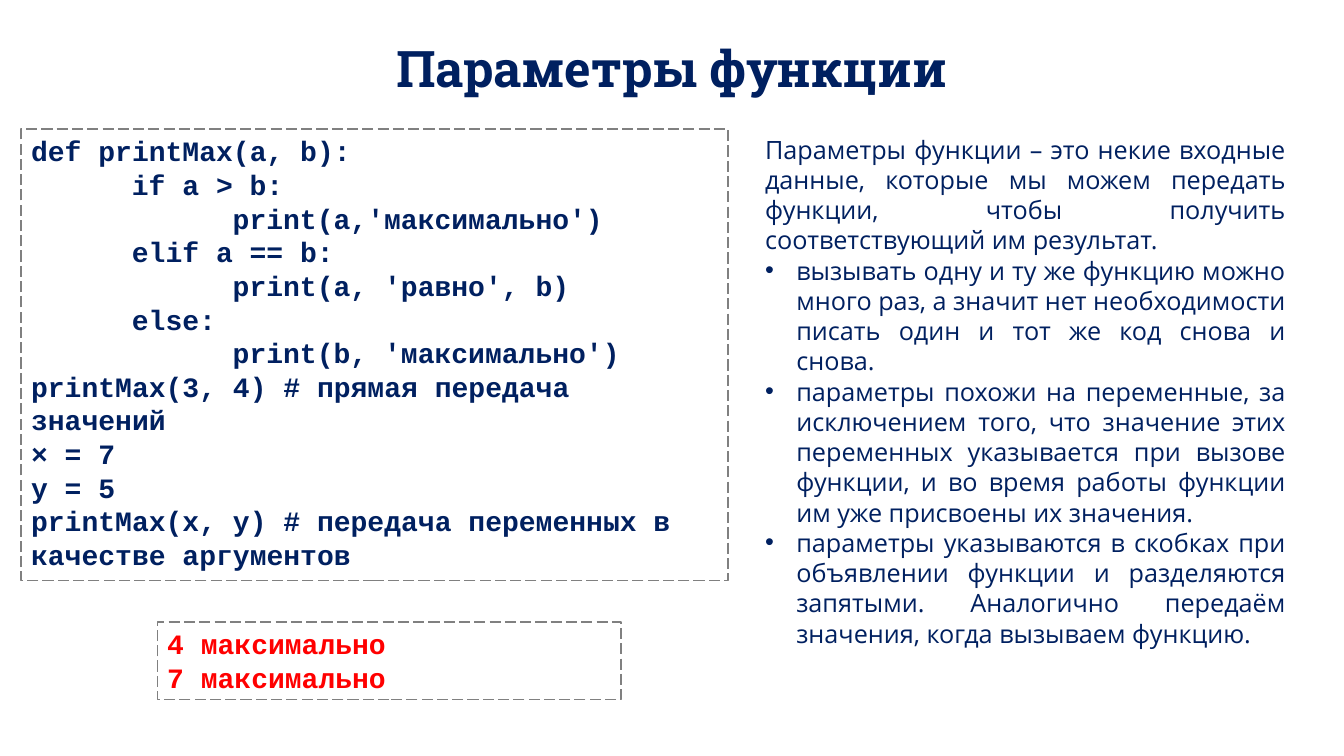
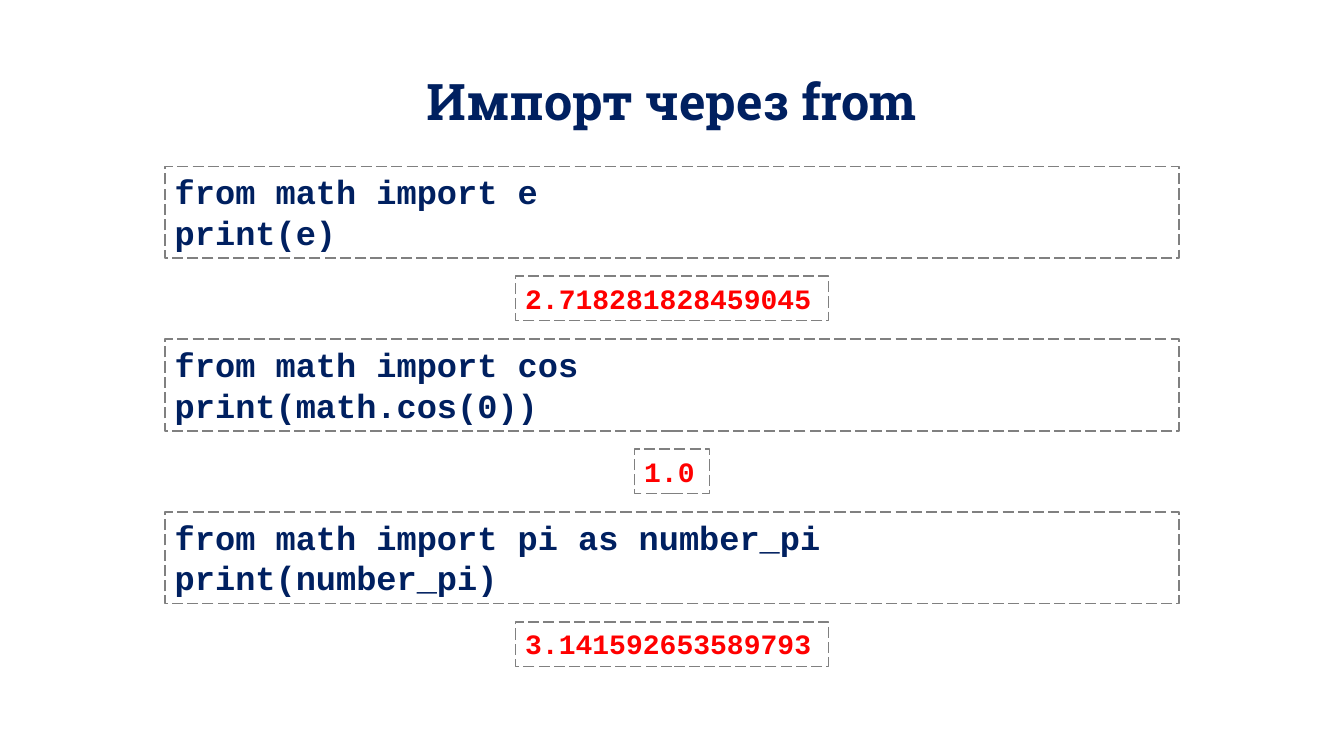
from lxml.etree import SubElement
from pptx import Presentation
from pptx.dml.color import RGBColor
from pptx.enum.dml import MSO_LINE
from pptx.enum.shapes import MSO_SHAPE
from pptx.enum.text import MSO_ANCHOR, MSO_AUTO_SIZE, PP_ALIGN
from pptx.oxml.ns import qn
from pptx.util import Inches, Pt

SLIDE_WIDTH, SLIDE_HEIGHT = 13.33, 7.5
NAVY, RED, GRAY = "002060", "FF0000", "808080"
TITLE_HEIGHT = 0.6
TAB_STOPS = (1, 2)
BULLET_INDENT = 0.31

TITLE_FONT = {"name": "Roboto Slab", "size": Pt(36), "bold": True}
BODY_FONT = {"name": "Open Sans", "size": Pt(18)}
CODE_FONT = {"name": "Courier New", "size": Pt(20), "bold": True}
LARGE_CODE_FONT = {**CODE_FONT, "size": Pt(24)}

PARAMETERS_TITLE = "Параметры функции"
PARAMETERS_CODE = [
    "def printMax(a, b):",
    "\tif a > b:",
    "\t\tprint(a,'максимально')",
    "\telif a == b:",
    "\t\tprint(a, 'равно', b)",
    "\telse:",
    "\t\tprint(b, 'максимально')",
    "printMax(3, 4) # прямая передача значений",
    "× = 7",
    "y = 5",
    "printMax(x, y) # передача переменных в качестве аргументов",
]
PARAMETERS_RESULT = ["4 максимально", "7 максимально"]
PARAMETERS_INTRO = (
    "Параметры функции – это некие входные данные, которые мы можем передать "
    "функции, чтобы получить соответствующий им результат. "
)
PARAMETERS_NOTES = [
    "вызывать одну и ту же функцию можно много раз, а значит нет "
    "необходимости писать один и тот же код снова и снова.",
    "параметры похожи на переменные, за исключением того, что значение этих "
    "переменных указывается при вызове функции, и во время работы функции "
    "им уже присвоены их значения.",
    "параметры указываются в скобках при объявлении функции и разделяются "
    "запятыми. Аналогично передаём значения, когда вызываем функцию.",
]

IMPORT_TITLE = "Импорт через from"
IMPORT_EXAMPLES = [
    (["from math import e", "print(e)"], "2.718281828459045", 3.11),
    (["from math import cos", "print(math.cos(0))"], "1.0", 0.75),
    (["from math import pi as number_pi", "print(number_pi)"], "3.141592653589793", 3.11),
]


def format_font(paragraph, font_values, color):
    for name, value in font_values.items():
        setattr(paragraph.font, name, value)
    paragraph.font.color.rgb = RGBColor.from_string(color)


def add_tab_stops(paragraph):
    tab_list = SubElement(paragraph._p.get_or_add_pPr(), qn("a:tabLst"))
    for position in TAB_STOPS:
        SubElement(tab_list, qn("a:tab"), pos=str(Inches(position)), algn="l")


def add_bullet(paragraph):
    properties = paragraph._p.get_or_add_pPr()
    indent = Inches(BULLET_INDENT)
    properties.set("marL", str(indent))
    properties.set("indent", str(-indent))
    SubElement(properties, qn("a:buFont"), typeface="Arial")
    SubElement(properties, qn("a:buChar"), char="•")


def write_lines(text_frame, lines, font_values, color, alignment, decorate):
    text_frame.word_wrap = True
    text_frame.auto_size = MSO_AUTO_SIZE.SHAPE_TO_FIT_TEXT
    text_frame.vertical_anchor = MSO_ANCHOR.TOP
    for index, line in enumerate(lines):
        paragraph = text_frame.add_paragraph() if index else text_frame.paragraphs[0]
        paragraph.text = line
        paragraph.alignment = alignment
        decorate(paragraph, line)
        format_font(paragraph, font_values, color)


def add_titled_slide(presentation, title, top):
    slide = presentation.slides.add_slide(presentation.slide_layouts[5])
    shape = slide.shapes.title
    shape.left, shape.top = Inches(0), Inches(top)
    shape.width, shape.height = Inches(SLIDE_WIDTH), Inches(TITLE_HEIGHT)
    text_frame = shape.text_frame
    text_frame.text = title
    text_frame.auto_size = MSO_AUTO_SIZE.NONE
    text_frame.vertical_anchor = MSO_ANCHOR.MIDDLE
    paragraph = text_frame.paragraphs[0]
    paragraph.alignment = PP_ALIGN.CENTER
    paragraph.line_spacing = 0.9
    format_font(paragraph, TITLE_FONT, NAVY)
    return slide


def add_code_box(slide, lines, bounds, font_values=CODE_FONT, color=NAVY):
    shape = slide.shapes.add_shape(MSO_SHAPE.RECTANGLE, *map(Inches, bounds))
    shape.shadow.inherit = False
    shape.fill.background()
    shape.line.color.rgb = RGBColor.from_string(GRAY)
    shape.line.width = Pt(1)
    shape.line.dash_style = MSO_LINE.LONG_DASH

    def decorate(paragraph, line):
        if "\t" in line:
            add_tab_stops(paragraph)

    write_lines(shape.text_frame, lines, font_values, color, PP_ALIGN.LEFT, decorate)


def add_explanation(slide, intro, notes, bounds):
    shape = slide.shapes.add_textbox(*map(Inches, bounds))

    def decorate(paragraph, line):
        if line in notes:
            add_bullet(paragraph)

    write_lines(shape.text_frame, [intro, *notes], BODY_FONT, NAVY, PP_ALIGN.JUSTIFY, decorate)


def build_parameters_slide(presentation):
    slide = add_titled_slide(presentation, PARAMETERS_TITLE, 0.41)
    add_explanation(slide, PARAMETERS_INTRO, PARAMETERS_NOTES, (7.49, 1.28, 5.36, 5.25))
    add_code_box(slide, PARAMETERS_CODE, (0.21, 1.28, 7.01, 4.48))
    add_code_box(slide, PARAMETERS_RESULT, (1.56, 6.17, 4.6, 0.77), color=RED)


def build_import_slide(presentation):
    slide = add_titled_slide(presentation, IMPORT_TITLE, 0.73)
    first_top, last_top = 1.65, 5.08
    code_width, code_height, result_height, gap = 10.06, 0.91, 0.44, 0.18
    pitch = (last_top - first_top) / (len(IMPORT_EXAMPLES) - 1)
    for index, (code, result, result_width) in enumerate(IMPORT_EXAMPLES):
        code_top = first_top + index * pitch
        result_top = code_top + code_height + gap
        code_left = (SLIDE_WIDTH - code_width) / 2
        result_left = (SLIDE_WIDTH - result_width) / 2
        add_code_box(slide, code, (code_left, code_top, code_width, code_height), LARGE_CODE_FONT)
        add_code_box(slide, [result], (result_left, result_top, result_width, result_height), color=RED)


def main():
    presentation = Presentation()
    presentation.slide_width = Inches(SLIDE_WIDTH)
    presentation.slide_height = Inches(SLIDE_HEIGHT)
    build_parameters_slide(presentation)
    build_import_slide(presentation)
    presentation.save("out.pptx")


if __name__ == "__main__":
    main()
